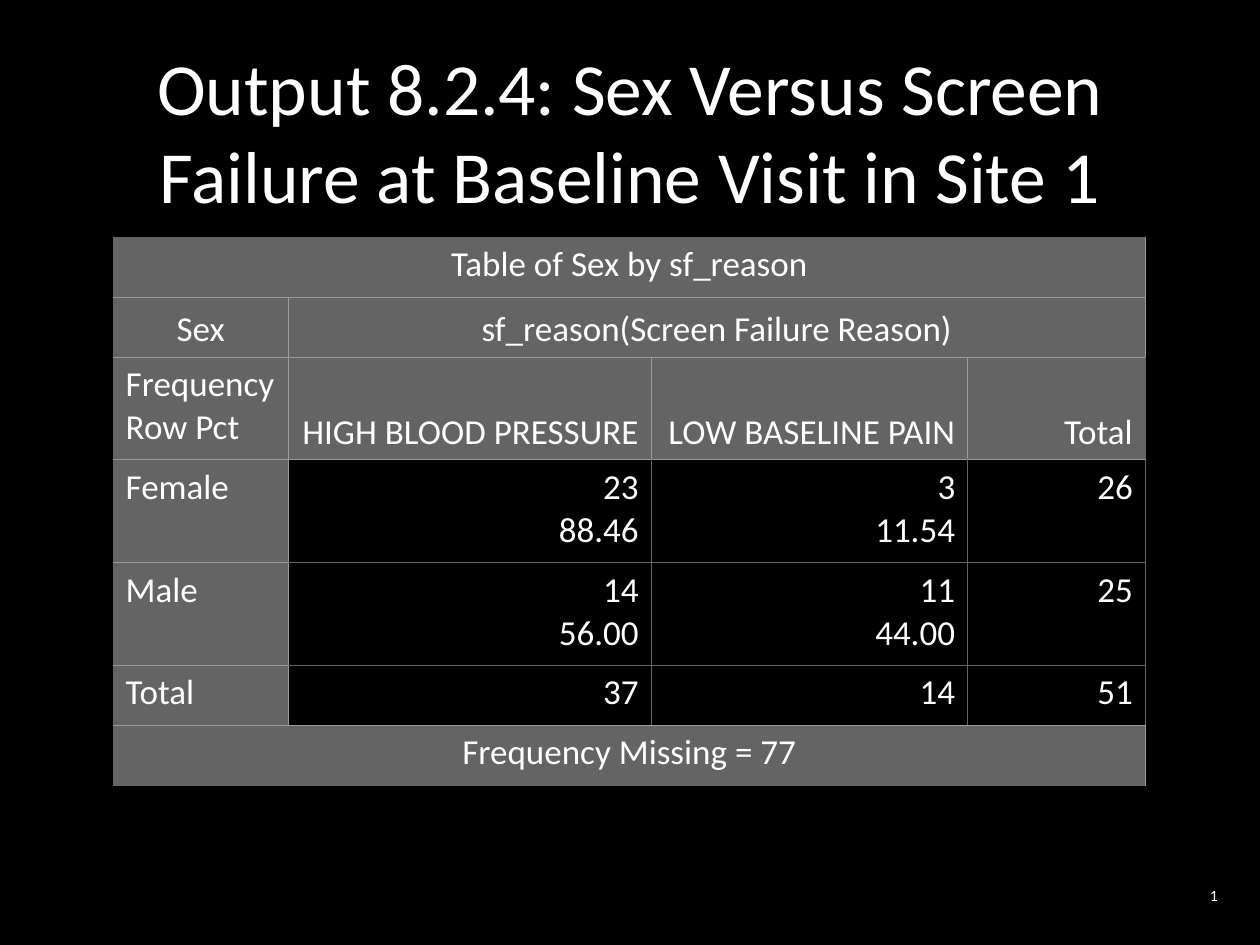
from dataclasses import dataclass, field
from lxml.etree import SubElement
from pptx import Presentation
from pptx.dml.color import RGBColor as RGB
from pptx.enum.text import MSO_ANCHOR as Anchor, MSO_AUTO_SIZE as AutoSize, PP_ALIGN as Align
from pptx.oxml.ns import qn
from pptx.slide import Slide
from pptx.util import Cm, Pt

COLORS = {"back": "000000", "text": "FFFFFF", "head": "646464", "rule": "9B9B9B"}
COLS = [3.53, 7.32, 6.38, 3.58]
SHORT, TALL = 1.21, 2.07

ROWS = [
    (SHORT, ["Table\u00a0of\u00a0Sex\u00a0by\u00a0sf_reason"]),
    (SHORT, ["Sex", "sf_reason(Screen Failure Reason)"]),
    (TALL, ["Frequency\nRow Pct", "HIGH BLOOD PRESSURE", "LOW BASELINE PAIN", "Total"]),
    (TALL, ["Female", "23\n88.46", "3\n11.54", "26"]),
    (TALL, ["Male", "14\n56.00", "11\n44.00", "25"]),
    (SHORT, ["Total", "37", "14", "51"]),
    (SHORT, ["Frequency\u00a0Missing\u00a0=\u00a077"]),
]
HEAD_ROWS = {0, 1, 2, len(ROWS) - 1}
BOTTOM_ROWS = {1, 2}
SIDES = {"a:lnL": (0, -1), "a:lnR": (0, 1), "a:lnT": (-1, 0), "a:lnB": (1, 0)}


def write(tf, text, size=20, color="text", align=Align.LEFT, font="Calibri"):
    p = tf.paragraphs[0]
    p.text = text.replace("\n", "\v")
    p.alignment = align
    for r in p.runs:
        r.font.size = Pt(size)
        r.font.name = font
        r.font.color.rgb = RGB.from_string(COLORS[color])


def is_head(row, col):
    return row in HEAD_ROWS or col == 0


def border_color(row, col, step):
    near = row + step[0], col + step[1]
    inside = 0 <= near[0] < len(ROWS) and 0 <= near[1] < len(COLS)
    return "rule" if inside and (is_head(row, col) or is_head(*near)) else "head"


def set_border(cell, side, color):
    ln = SubElement(cell._tc.get_or_add_tcPr(), qn(side), w=str(Pt(0.5)))
    fill = SubElement(ln, qn("a:solidFill"))
    SubElement(fill, qn("a:srgbClr"), val=COLORS[color])


@dataclass
class Deck:
    prs: Presentation = field(default_factory=Presentation)
    s: Slide = None

    def add_slide(self):
        self.prs.slide_width, self.prs.slide_height = Cm(25.4), Cm(19.05)
        self.s = self.prs.slides.add_slide(self.prs.slide_layouts[5])
        fill = self.s.background.fill
        fill.solid()
        fill.fore_color.rgb = RGB.from_string(COLORS["back"])

    def place(self, sp, box, text, **style):
        sp.left, sp.top, sp.width, sp.height = map(Cm, box)
        tf = sp.text_frame
        tf.word_wrap = True
        tf.auto_size = AutoSize.NONE
        tf.vertical_anchor = Anchor.MIDDLE
        write(tf, text, **style)

    def title(self, box, text, **style):
        self.place(self.s.shapes.title, box, text, **style)

    def label(self, box, text, **style):
        self.place(self.s.shapes.add_textbox(*map(Cm, box)), box, text, **style)

    def table(self, left, top):
        heights = [height for height, _ in ROWS]
        size = Cm(sum(COLS)), Cm(sum(heights))
        table = self.s.shapes.add_table(
            len(ROWS), len(COLS), Cm(left), Cm(top), *size).table
        table.first_row = table.horz_banding = False
        for column, width in zip(table.columns, COLS):
            column.width = Cm(width)
        for row, height in zip(table.rows, heights):
            row.height = Cm(height)
        for i, (_, texts) in enumerate(ROWS):
            for j in range(len(COLS)):
                self.cell(table.cell(i, j), i, j)
            last = len(texts) - 1
            if last < len(COLS) - 1:
                table.cell(i, last).merge(table.cell(i, len(COLS) - 1))
            for j, text in enumerate(texts):
                centred = len(texts) < len(COLS)
                align = Align.CENTER if centred else Align.RIGHT if j else Align.LEFT
                write(table.cell(i, j).text_frame, text, align=align)

    def cell(self, cell, row, col):
        low = row in BOTTOM_ROWS and (row, col) != (2, 0)
        cell.vertical_anchor = Anchor.BOTTOM if low else Anchor.TOP
        for side, step in SIDES.items():
            set_border(cell, side, border_color(row, col, step))
        cell.fill.solid()
        fill = "head" if is_head(row, col) else "back"
        cell.fill.fore_color.rgb = RGB.from_string(COLORS[fill])


def main():
    deck = Deck()
    deck.add_slide()
    deck.title((0.64, 0.64, 24.13, 3.96),
               "Output 8.2.4: Sex Versus Screen\nFailure at Baseline Visit in Site 1",
               size=42, align=Align.CENTER)
    deck.table(2.28, 4.78)
    deck.label((18.75, 17.68, 6.05, 0.74), "1", size=9, align=Align.RIGHT)
    deck.prs.save("out.pptx")


if __name__ == "__main__":
    main()
